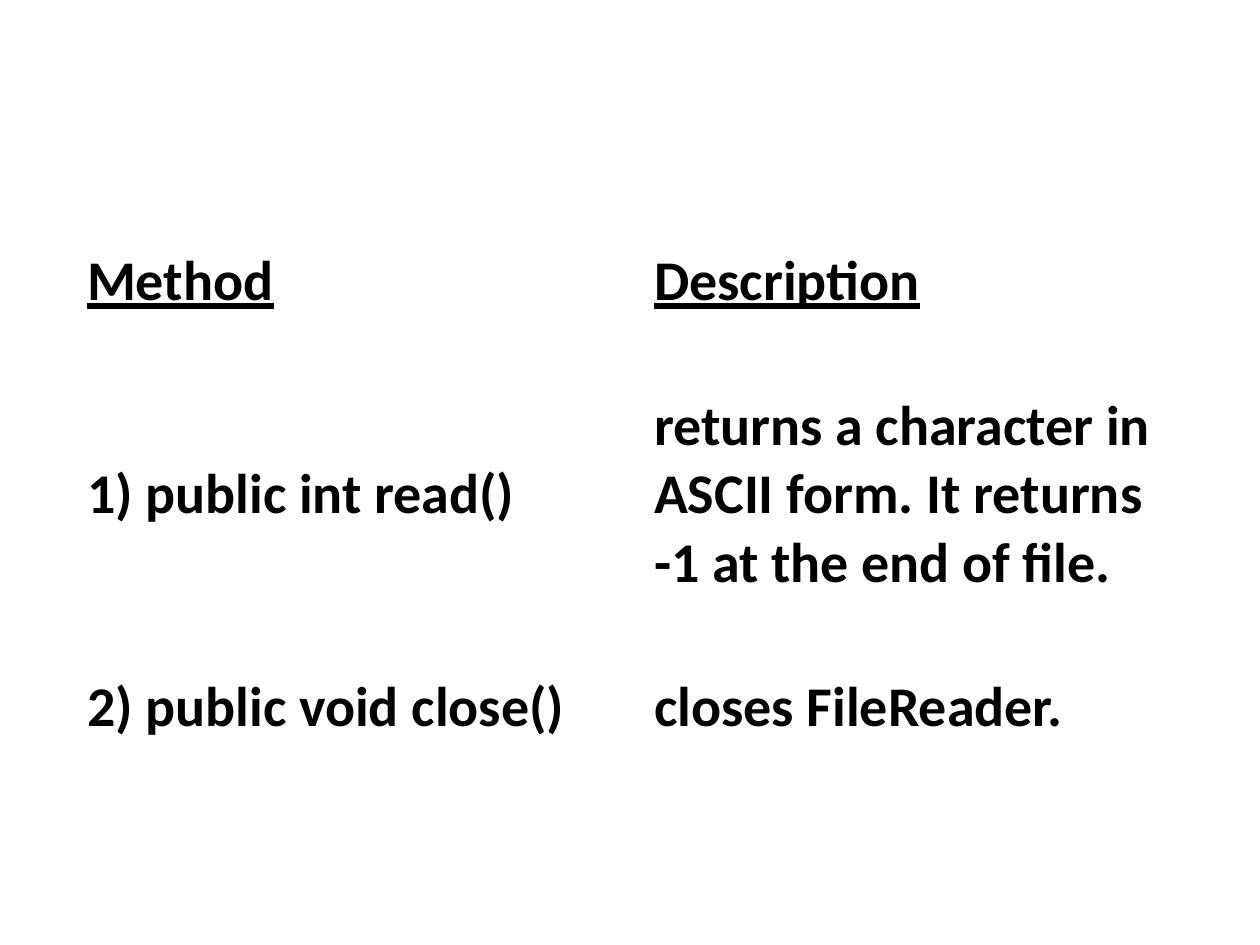
from pptx import Presentation
from pptx.dml.color import RGBColor
from pptx.enum.text import MSO_ANCHOR
from pptx.util import Emu, Pt

COLORS = {"text": "000000", "cell": "FFFFFF"}


def px(pixels):
    return Emu(round(pixels * 914400 / 126))


deck = Presentation()
deck.slide_width, deck.slide_height = px(1260), px(945)
page = deck.slides.add_slide(deck.slide_layouts[6])

# Method table
rows = [
    ("Method", "Description"),
    ("1) public int read()",
     "returns a character in ASCII form. It returns -1 at the end of file."),
    ("2) public void close()", "closes FileReader."),
]
row_heights = [155, 271, 155]
column_width = 567
table = page.shapes.add_table(
    len(rows), 2, px(74), px(204), px(2 * column_width), px(sum(row_heights))
).table
for column in table.columns:
    column.width = px(column_width)

# Cell text and format
for row_index, texts in enumerate(rows):
    table.rows[row_index].height = px(row_heights[row_index])
    for column_index, text in enumerate(texts):
        cell = table.cell(row_index, column_index)
        cell.fill.solid()
        cell.fill.fore_color.rgb = RGBColor.from_string(COLORS["cell"])
        cell.vertical_anchor = MSO_ANCHOR.MIDDLE
        cell.margin_left = px(13)
        cell.margin_right = px(16)
        cell.text_frame.text = text
        font = cell.text_frame.paragraphs[0].runs[0].font
        font.name = "Calibri"
        font.size = Pt(32)
        font.bold = True
        font.underline = row_index == 0
        font.color.rgb = RGBColor.from_string(COLORS["text"])

deck.save("out.pptx")
